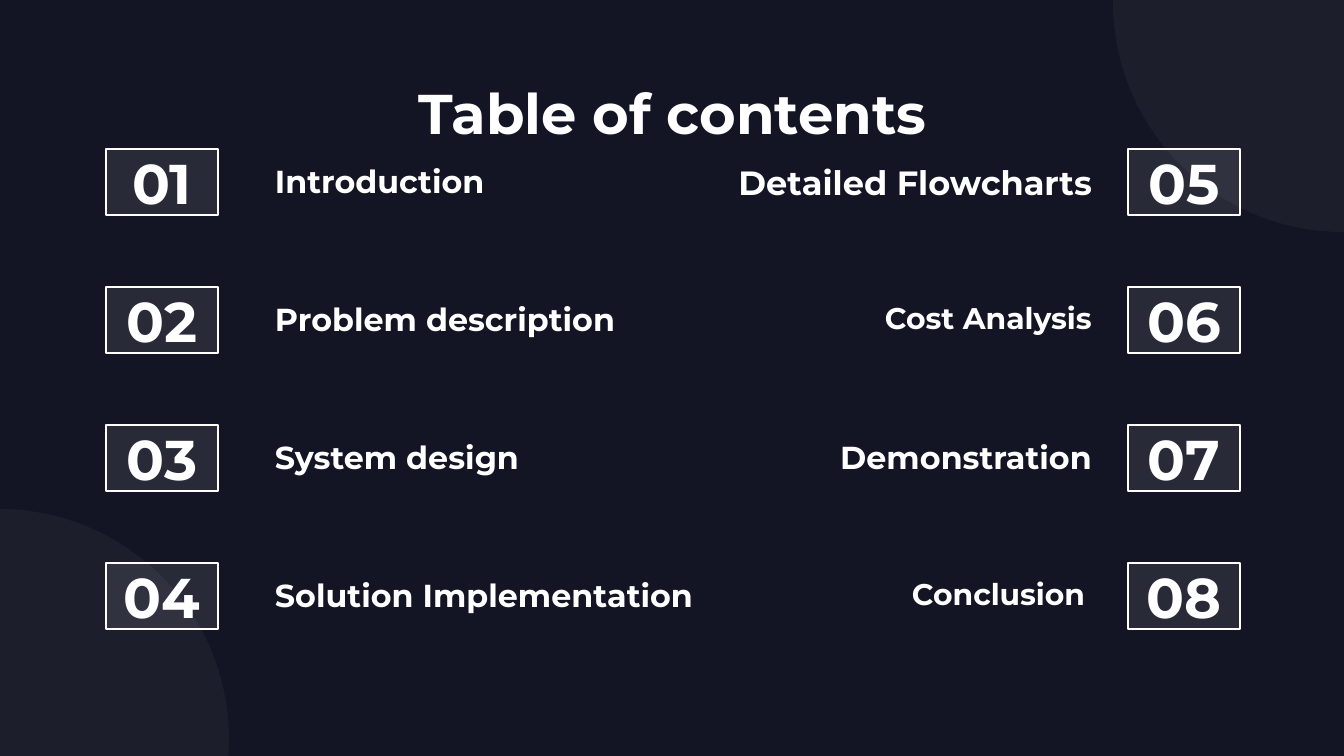
from lxml.etree import SubElement
from pptx import Presentation
from pptx.dml.color import RGBColor
from pptx.enum.shapes import MSO_SHAPE as Shape
from pptx.enum.text import MSO_ANCHOR as Anchor, MSO_AUTO_SIZE as AutoSize, PP_ALIGN as Align
from pptx.oxml.ns import qn
from pptx.util import Pt

EMU_PER_PX = 914400 / 134.4
NAVY, WHITE = "131524", "FFFFFF"
FONT = "Montserrat"
INSET = 13
FIRST_ROW, ROW_STEP = 149, 138
NUMBER_LEFTS = (106, 1128)
NUMBER_WIDTH, NUMBER_HEIGHT = 112, 66

CIRCLES = [(1113, -228), (-231, 509)]
CIRCLE_SIZE = 460

# Each column: label, size in points, left, width, height, alignment
COLUMNS = [
    [
        ("Introduction", 17, 239, 398, 66, Align.LEFT),
        ("Problem description", 17, 239, 433, 66, Align.LEFT),
        ("System design", 17, 239, 398, 66, Align.LEFT),
        ("Solution Implementation", 17, 239, 511, 85, Align.LEFT),
    ],
    [
        ("Detailed Flowcharts", 18, 606, 499, 94, Align.RIGHT),
        ("Cost Analysis", 16, 707, 398, 66, Align.RIGHT),
        ("Demonstration", 17, 707, 398, 66, Align.RIGHT),
        ("Conclusion", 16, 876, 278, 66, Align.LEFT),
    ],
]


def px(length):
    return round(length * EMU_PER_PX)


def color(hex_code):
    return RGBColor.from_string(hex_code)


def place(shape, left, top, width, height):
    shape.left, shape.top = px(left), px(top)
    shape.width, shape.height = px(width), px(height)


def write(shape, text, size, align, anchor=Anchor.TOP):
    """Set one bold white paragraph and return it."""
    frame = shape.text_frame
    frame.text = text
    frame.word_wrap = True
    frame.auto_size = AutoSize.NONE
    frame.vertical_anchor = anchor
    frame.margin_left = frame.margin_right = px(INSET)
    frame.margin_top = frame.margin_bottom = px(INSET)
    para = frame.paragraphs[0]
    para.alignment = align
    font = para.runs[0].font
    font.name, font.size, font.bold = FONT, Pt(size), True
    font.color.rgb = color(WHITE)
    return para


def add_glass(page, kind, left, top, width, height, opacity):
    """Add a borderless white shape with the given opacity in percent."""
    shape = page.shapes.add_shape(kind, px(left), px(top), px(width), px(height))
    shape.shadow.inherit = False
    shape.fill.solid()
    shape.fill.fore_color.rgb = color(WHITE)
    fill_color = shape.fill._xPr.find(".//" + qn("a:srgbClr"))
    SubElement(fill_color, qn("a:alpha"), val=str(opacity * 1000))
    shape.line.fill.background()
    return shape


def add_number(page, number, left, top):
    box = add_glass(page, Shape.RECTANGLE, left, top, NUMBER_WIDTH, NUMBER_HEIGHT, 9)
    box.line.color.rgb = color(WHITE)
    box.line.width = Pt(0.75)
    write(box, f"{number:02d}", 30, Align.CENTER, Anchor.MIDDLE)


def add_label(page, top, text, size, left, width, height, align):
    box = page.shapes.add_textbox(px(left), px(top), px(width), px(height))
    para = write(box, text, size, align)
    properties = para._p.get_or_add_pPr()
    properties.set("marL", str(px(67)))
    properties.set("indent", str(px(-44)))


def main():
    deck = Presentation()
    deck.slide_width, deck.slide_height = px(1344), px(756)
    page = deck.slides.add_slide(deck.slide_layouts[5])
    page.background.fill.solid()
    page.background.fill.fore_color.rgb = color(NAVY)

    for left, top in CIRCLES:
        add_glass(page, Shape.OVAL, left, top, CIRCLE_SIZE, CIRCLE_SIZE, 4)

    title = page.shapes.title
    place(title, 106, 66, 1133, 84)
    write(title, "Table of contents", 30, Align.CENTER)

    number = 1
    for number_left, entries in zip(NUMBER_LEFTS, COLUMNS):
        for row, entry in enumerate(entries):
            top = FIRST_ROW + row * ROW_STEP
            add_number(page, number, number_left, top)
            add_label(page, top, *entry)
            number += 1

    deck.save("out.pptx")


if __name__ == "__main__":
    main()
